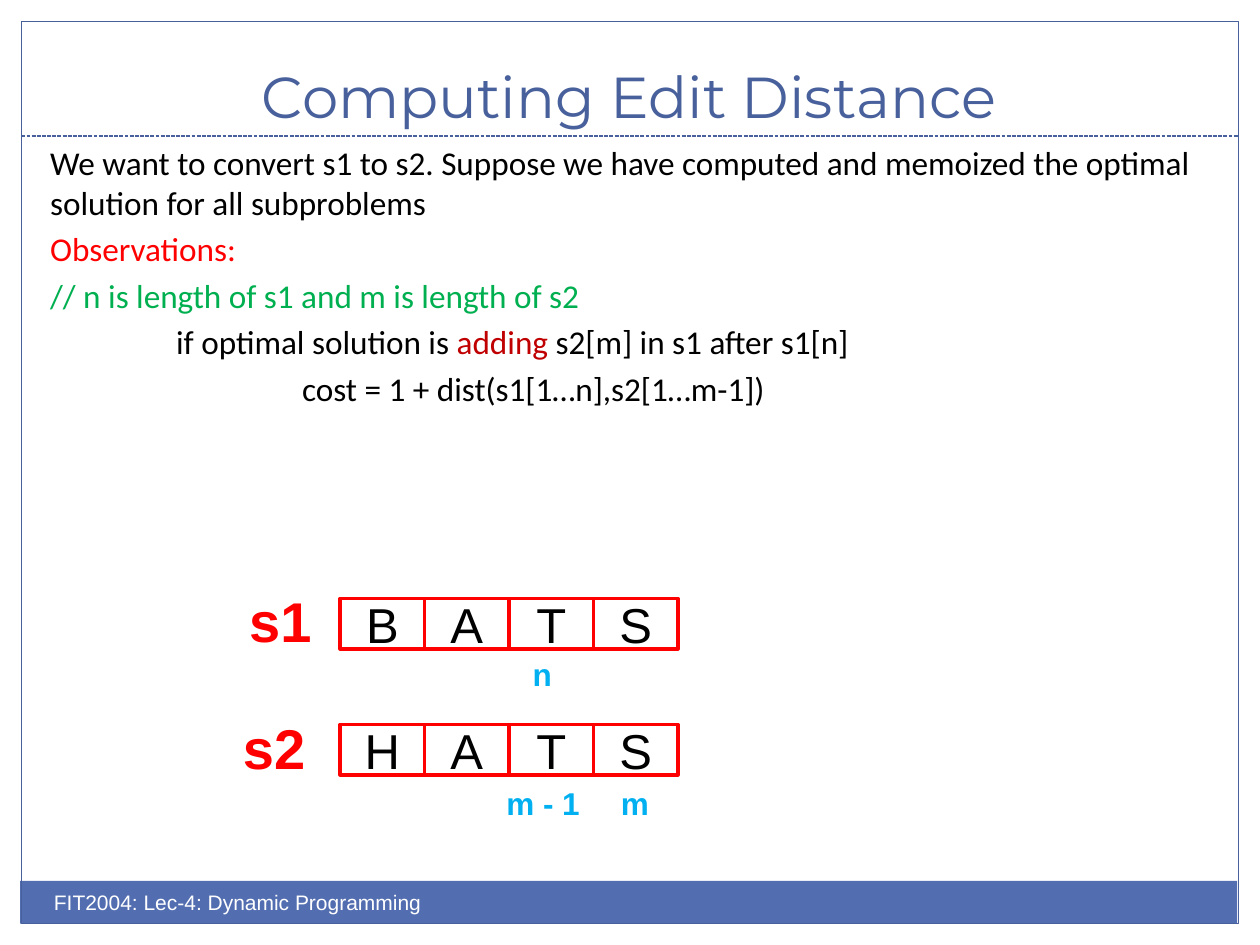
"""Build the slide on computing edit distance."""
from dataclasses import dataclass

from lxml import etree
from pptx import Presentation
from pptx import util as u
from pptx.dml.color import RGBColor
from pptx.enum import dml, shapes, text
from pptx.oxml.ns import qn


@dataclass(frozen=True)
class Theme:
    """Colours, fonts and type sizes of the slide."""
    navy: str = "48609B"
    bar: str = "526DB0"
    white: str = "FFFFFF"
    black: str = "000000"
    red: str = "FF0000"
    dark: str = "C00000"
    green: str = "00B050"
    sky: str = "00B0F0"
    head: str = "Montserrat"
    body: str = "Calibri"
    sans: str = "Arial"
    title: int = 33
    prose: int = 19
    cell: int = 28
    name: int = 32
    mark: int = 18
    foot: int = 12


T = Theme()
WIDE, HIGH = u.Inches(10), u.Inches(7.5)
LEFT, COL, ROW = 27, 6.7, 5.33


def place(x, y, w, h):
    """Turn percentages of the slide's size into lengths."""
    return [int(p * side / 100) for p, side in zip((x, y, w, h), (WIDE, HIGH) * 2)]


def write(para, words, size, font, hue, bold=False):
    """Add one run to a paragraph."""
    run = para.add_run()
    run.text = words
    run.font.size, run.font.name, run.font.bold = u.Pt(size), font, bold
    run.font.color.rgb = RGBColor.from_string(hue)


def rect(slide, box, fill=None, line=None, width=0.75):
    """Add a flat rectangle with an optional fill and outline."""
    shape = slide.shapes.add_shape(shapes.MSO_SHAPE.RECTANGLE, *place(*box))
    shape.shadow.inherit = False
    if fill:
        shape.fill.solid()
        shape.fill.fore_color.rgb = RGBColor.from_string(fill)
    else:
        shape.fill.background()
    if line:
        shape.line.color.rgb = RGBColor.from_string(line)
        shape.line.width = u.Pt(width)
    else:
        shape.line.fill.background()
    return shape


def rule(slide, x, y, w):
    """Add a dashed horizontal line."""
    left, top, span, _ = place(x, y, w, 0)
    line = slide.shapes.add_connector(
        shapes.MSO_CONNECTOR.STRAIGHT, left, top, left + span, top)
    line.line.color.rgb = RGBColor.from_string(T.navy)
    line.line.width = u.Pt(0.75)
    line.line.dash_style = dml.MSO_LINE.SQUARE_DOT
    etree.SubElement(line._element.spPr, qn("a:effectLst"))


def area(slide, box, wrap=True):
    """Add a text box and return its frame."""
    frame = slide.shapes.add_textbox(*place(*box)).text_frame
    frame.word_wrap = wrap
    if not wrap:
        frame.auto_size = text.MSO_AUTO_SIZE.SHAPE_TO_FIT_TEXT
    return frame


def label(slide, box, words, size, hue):
    """Add a bold label that does not wrap."""
    write(area(slide, box, False).paragraphs[0], words, size, T.sans, hue, True)


def prose(slide, box, lines):
    """Add paragraphs, each given as an indent in inches and coloured runs."""
    frame = area(slide, box)
    for i, (dent, runs) in enumerate(lines):
        para = frame.add_paragraph() if i else frame.paragraphs[0]
        para.space_before = u.Pt(3.8)
        para._p.get_or_add_pPr().set("marL", str(u.Inches(dent)))
        for words, hue in runs:
            write(para, words, T.prose, T.body, hue)


def word(slide, top, letters):
    """Add a row of boxed letters."""
    for i, char in enumerate(letters):
        cell = rect(slide, (LEFT + i * COL, top, COL, ROW), line=T.red, width=2)
        cell.text_frame.vertical_anchor = text.MSO_ANCHOR.MIDDLE
        para = cell.text_frame.paragraphs[0]
        para.alignment = text.PP_ALIGN.CENTER
        write(para, char, T.cell, T.sans, T.black)


def main():
    """Compose and save the slide."""
    deck = Presentation()
    deck.slide_width, deck.slide_height = WIDE, HIGH
    slide = deck.slides.add_slide(deck.slide_layouts[6])

    rect(slide, (1.6, 93.2, 96.6, 4.53), fill=T.bar)
    rect(slide, (1.7, 2.27, 96.6, 95.47), line=T.navy)
    rule(slide, 1.7, 14.4, 96.6)

    title = area(slide, (3.3, 3.33, 93.3, 11.07))
    title.vertical_anchor = text.MSO_ANCHOR.BOTTOM
    title.paragraphs[0].alignment = text.PP_ALIGN.CENTER
    write(title.paragraphs[0], "Computing Edit Distance", T.title, T.head, T.navy)

    prose(slide, (3, 14.4, 93.4, 47.07), [
        (0, [("We want to convert s1 to s2. Suppose we have computed and "
              "memoized the optimal solution for all subproblems", T.black)]),
        (0, [("Observations:", T.red)]),
        (0, [("// n is length of s1 and m is length of s2", T.green)]),
        (1, [("if optimal solution is ", T.black), ("adding", T.dark),
             (" s2[m] in s1 after s1[n]", T.black)]),
        (2, [("cost = 1 + dist(s1[1…n],s2[1…m-1])", T.black)]),
    ])

    for name, left, top, letters in (("s1", 18.8, 63.33, "BATS"),
                                     ("s2", 18.3, 76.67, "HATS")):
        word(slide, top, letters)
        label(slide, (left, top - 1.87, 7, 8.53), name, T.name, T.red)
    for name, left, top, wide in (("n", 41.3, 68.67, 3.6),
                                  ("m - 1", 39.2, 82.27, 7.9),
                                  ("m", 48.3, 82.27, 4.3)):
        label(slide, (left, top, wide, ROW), name, T.mark, T.sky)

    foot = area(slide, (3.3, 93.47, 50, ROW))
    write(foot.paragraphs[0], "FIT2004: Lec-4: Dynamic Programming",
          T.foot, T.sans, T.white)
    deck.save("out.pptx")


if __name__ == "__main__":
    main()
